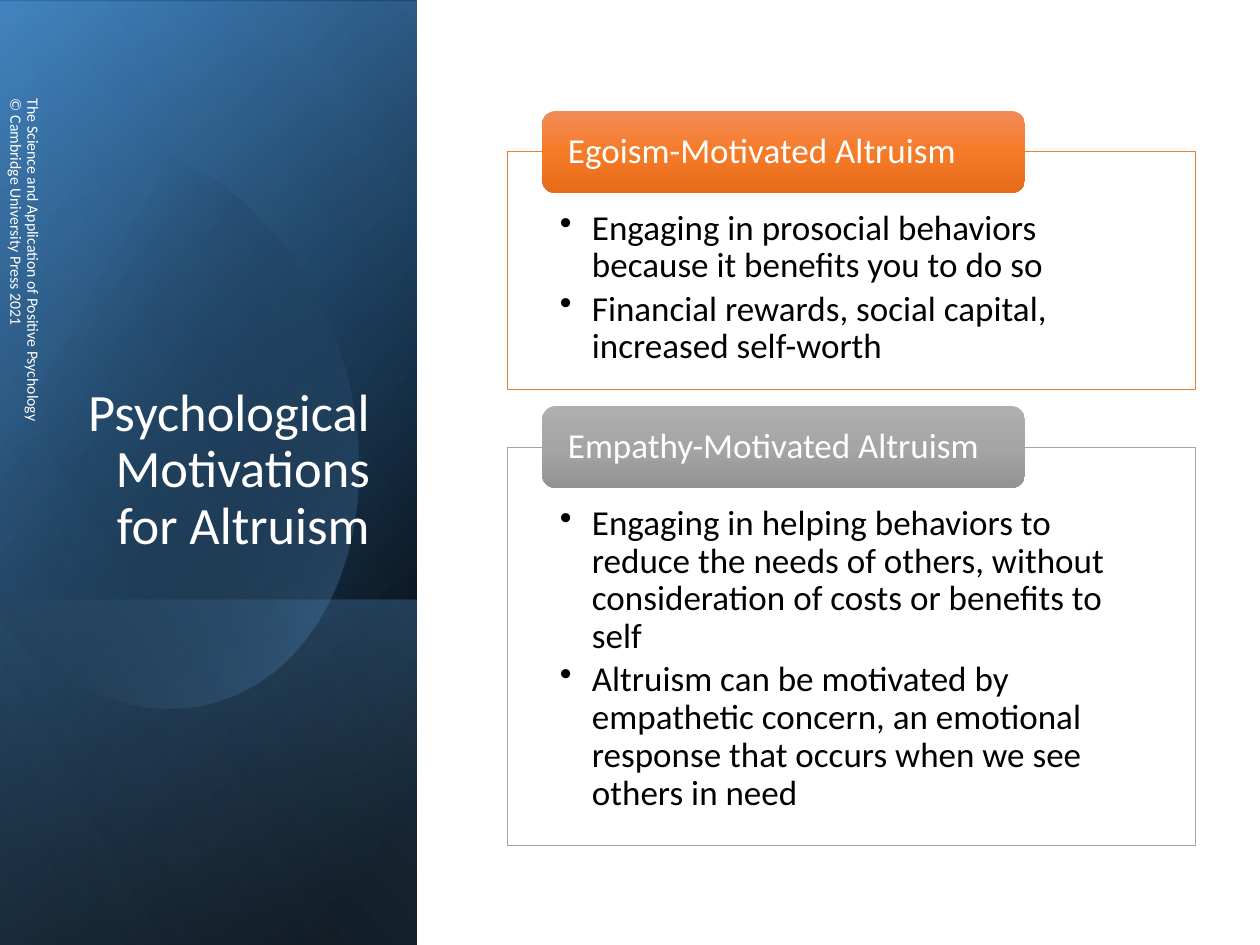
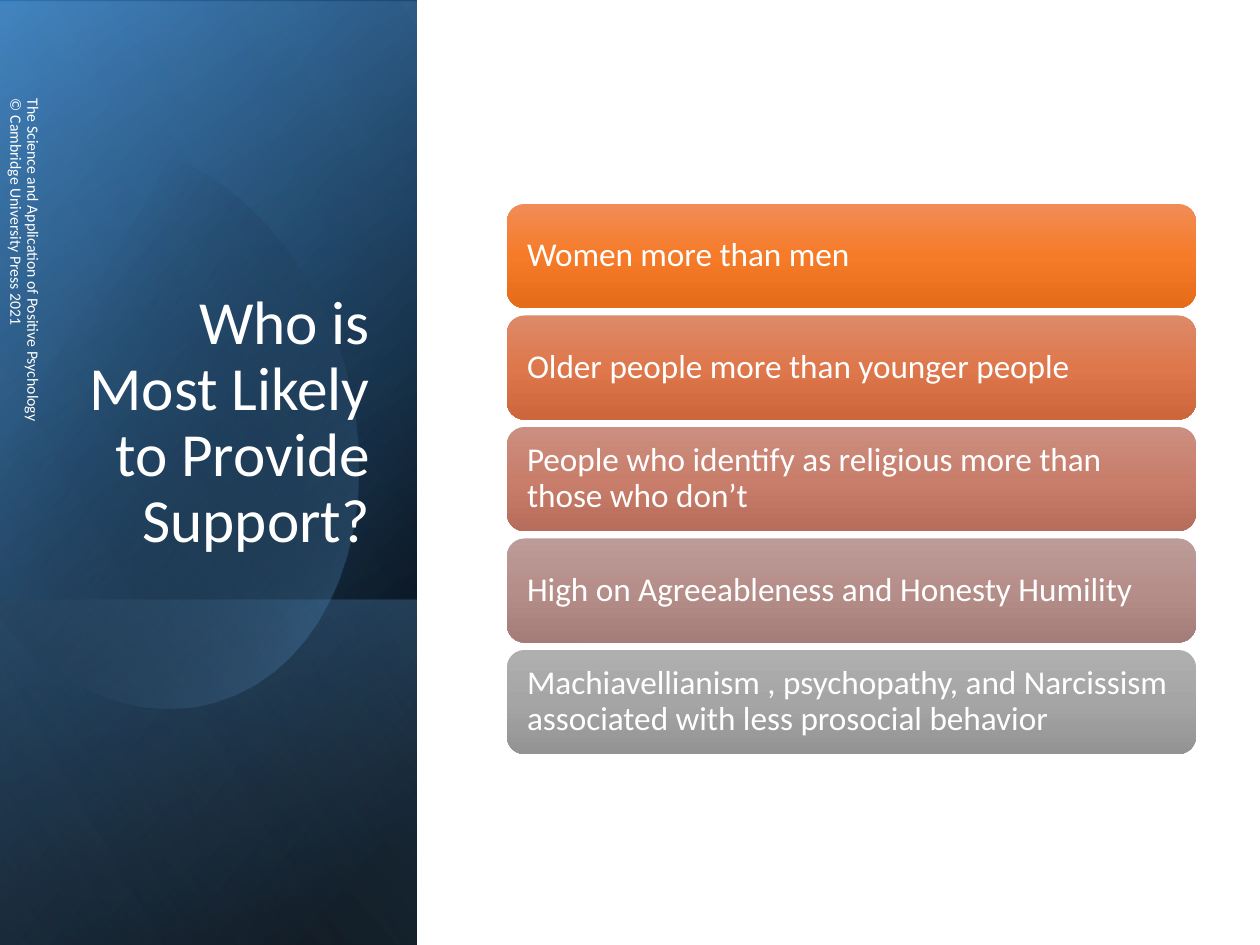
from lxml import etree
from pptx import Presentation
from pptx.dml.color import RGBColor
from pptx.enum.shapes import MSO_SHAPE
from pptx.enum.text import MSO_ANCHOR, MSO_AUTO_SIZE, PP_ALIGN
from pptx.oxml.ns import qn
from pptx.util import Pt

RECT, ROUNDED = MSO_SHAPE.RECTANGLE, MSO_SHAPE.ROUNDED_RECTANGLE
TOP, MIDDLE, BOTTOM = MSO_ANCHOR.TOP, MSO_ANCHOR.MIDDLE, MSO_ANCHOR.BOTTOM
LEFT, RIGHT = PP_ALIGN.LEFT, PP_ALIGN.RIGHT

SCALE = 914400 / 126
FONT = "Calibri"
BLACK = RGBColor(0x00, 0x00, 0x00)
WHITE = RGBColor(0xFF, 0xFF, 0xFF)
DEEP_BLUE = RGBColor(0x2E, 0x75, 0xB6)
BLUE = RGBColor(0x5B, 0x9B, 0xD5)
PALE_BLUE = RGBColor(0x9D, 0xC3, 0xE6)
ORANGE = RGBColor(0xED, 0x7D, 0x31)
GRAY = RGBColor(0xA5, 0xA5, 0xA5)


def shades(*hex_colors):
    return [(position, RGBColor.from_string(color), 100)
            for position, color in zip((0, 50, 100), hex_colors)]


ORANGE_SHADES = shades("F18C57", "F67B28", "E56C19")
GRAY_SHADES = shades("AFAFAF", "A5A5A5", "939393")

FOOTER = ["The Science and Application of Positive Psychology ",
          "© Cambridge University Press 2021"]

MOTIVES_TITLE = "Psychological Motivations for Altruism"
MOTIVES = [
    ("Egoism-Motivated Altruism", 152, 238, ORANGE, ORANGE_SHADES,
     ["Engaging in prosocial behaviors because it benefits you to do so",
      "Financial rewards, social capital, increased self-worth"]),
    ("Empathy-Motivated Altruism", 447, 399, GRAY, GRAY_SHADES,
     ["Engaging in helping behaviors to reduce the needs of others, without "
      "consideration of costs or benefits to self",
      "Altruism can be motivated by empathetic concern, an emotional response "
      "that occurs when we see others in need"]),
]

HELPERS_TITLE = "Who is Most Likely to Provide Support?"
HELPERS = [
    ("Women more than men", ORANGE_SHADES),
    ("Older people more than younger people", shades("DD8A6A", "DE774B", "CD673B")),
    ("People who identify as religious more than those who don’t",
     shades("CB8F81", "C97E6B", "B76D5B")),
    ("High on Agreeableness and Honesty Humility",
     shades("BC9C99", "B68E89", "A47C78")),
    ("Machiavellianism , psychopathy, and Narcissism associated with less "
     "prosocial behavior", GRAY_SHADES),
]

BAND_BACK = [
    ((0, 0, 417, 945), 50, [(8, BLACK, 100), (100, DEEP_BLUE, 100)]),
    ((0, 2, 417, 943), 30, [(0, BLACK, 0), (99, BLUE, 46)]),
    ((0, 600, 417, 345), 130, [(2, BLUE, 29), (100, BLACK, 30)]),
]
BAND_GLOSS = ((0, 0, 417, 945), 120, [(0, BLACK, 0), (99, PALE_BLUE, 11)])
OVAL_START = (121, 144)
OVAL_STEPS = [
    [(215, 154), (307, 242), (344, 365)],
    [(387, 519), (330, 669), (215, 702)],
    [(144, 723), (67, 693), (9, 630)],
    [(-4, 615)],
    [(-31, 209)],
    [(-19, 194)],
    [(3, 173), (28, 158), (57, 149)],
    [(78, 142), (100, 141), (121, 144)],
]
OVAL_STOPS = [(29, BLACK, 0), (100, BLUE, 43)]

COLUMN_X, COLUMN_WIDTH = 507, 689
TAB_X, TAB_WIDTH, TAB_HEIGHT = 542, 483, 82
BARS_TOP, BARS_BOTTOM, BAR_HEIGHT = 204, 754, 104


def px(length):
    return round(length * SCALE)


def emu_box(box):
    return [px(length) for length in box]


def turned(box):
    x, y, width, height = box
    return (x + (width - height) / 2, y + (height - width) / 2, height, width)


def add_plain(slide, kind, box):
    shape = slide.shapes.add_shape(kind, *emu_box(box))
    shape.shadow.inherit = False
    shape.line.fill.background()
    return shape


def set_gradient(shape, angle, stops):
    gradient = etree.Element(qn("a:gradFill"), rotWithShape="1")
    stop_list = etree.SubElement(gradient, qn("a:gsLst"))
    for position, color, opacity in stops:
        stop = etree.SubElement(stop_list, qn("a:gs"), pos=str(position * 1000))
        tint = etree.SubElement(stop, qn("a:srgbClr"), val=str(color))
        if opacity < 100:
            etree.SubElement(tint, qn("a:alpha"), val=str(opacity * 1000))
    etree.SubElement(gradient, qn("a:lin"), ang=str(angle * 60000), scaled="0")
    shape._element.spPr.insert(2, gradient)


def set_frame(shape, anchor, insets, wrap=True):
    frame = shape.text_frame
    frame.auto_size = MSO_AUTO_SIZE.NONE
    frame.word_wrap = wrap
    frame.vertical_anchor = anchor
    (frame.margin_left, frame.margin_top,
     frame.margin_right, frame.margin_bottom) = emu_box(insets)
    return frame


def write(paragraph, lines, size, color, align=LEFT, after=0, bullet=False):
    if bullet:
        properties = paragraph._p.get_or_add_pPr()
        properties.set("marL", str(px(32)))
        properties.set("indent", str(px(-32)))
        etree.SubElement(properties, qn("a:buChar"), char="•")
    paragraph.alignment = align
    paragraph.line_spacing = 0.9
    paragraph.space_before = Pt(0)
    paragraph.space_after = Pt(after)
    for index, line in enumerate(lines):
        if index:
            paragraph.add_line_break()
        run = paragraph.add_run()
        run.text = line
        run.font.name = FONT
        run.font.size = Pt(size)
        run.font.color.rgb = color


def add_band_layer(slide, box, angle, stops):
    layer = add_plain(slide, RECT, turned(box))
    layer.rotation = 90
    layer._element.spPr.xfrm.set("flipH", "1")
    set_gradient(layer, angle, stops)


def curve_points(start, first, second, end, steps=16):
    for step in range(1, steps + 1):
        t = step / steps
        weights = ((1 - t) ** 3, 3 * t * (1 - t) ** 2, 3 * t * t * (1 - t), t ** 3)
        corners = (start, first, second, end)
        yield tuple(sum(w * corner[axis] for w, corner in zip(weights, corners))
                    for axis in (0, 1))


def add_oval(slide):
    outline = [OVAL_START]
    for step in OVAL_STEPS:
        outline += curve_points(outline[-1], *step) if len(step) == 3 else step
    points = [emu_box(point) for point in outline]
    builder = slide.shapes.build_freeform(*points[0], scale=1.0)
    builder.add_line_segments(points[1:], close=True)
    oval = builder.convert_to_shape()
    oval.shadow.inherit = False
    oval.line.fill.background()
    set_gradient(oval, 30, OVAL_STOPS)


def add_slide(deck, heading, heading_size):
    slide = deck.slides.add_slide(deck.slide_layouts[5])
    for layer in BAND_BACK:
        add_band_layer(slide, *layer)
    add_oval(slide)
    add_band_layer(slide, *BAND_GLOSS)

    title = slide.shapes.title
    title.left, title.top, title.width, title.height = emu_box((60, 232, 323, 330))
    slide.shapes._spTree.append(title._element)
    frame = set_frame(title, BOTTOM, (13, 6, 13, 6))
    write(frame.paragraphs[0], [heading], heading_size, WHITE, RIGHT)

    footer = slide.shapes.add_textbox(*emu_box(turned((-1, 86, 50, 426))))
    footer.rotation = 90
    frame = set_frame(footer, MIDDLE, (13, 6, 13, 6), wrap=False)
    write(frame.paragraphs[0], FOOTER, 9, WHITE, after=6)
    return slide


def add_label(slide, box, label, stops, size, inset):
    shape = add_plain(slide, ROUNDED, box)
    set_gradient(shape, 90, stops)
    frame = set_frame(shape, MIDDLE, (inset, 0, inset, 0))
    write(frame.paragraphs[0], [label], size, WHITE)


def add_motive(slide, name, top, height, edge, stops, points):
    panel = add_plain(slide, RECT, (COLUMN_X, top, COLUMN_WIDTH, height))
    panel.fill.solid()
    panel.fill.fore_color.rgb = WHITE
    panel.line.color.rgb = edge
    panel.line.width = Pt(0.5)
    frame = set_frame(panel, TOP, (53, 58, 53, 20))
    for index, point in enumerate(points):
        paragraph = frame.add_paragraph() if index else frame.paragraphs[0]
        write(paragraph, [point], 20, BLACK, after=3, bullet=True)
    tab = (TAB_X, top - TAB_HEIGHT / 2, TAB_WIDTH, TAB_HEIGHT)
    add_label(slide, tab, name, stops, 20, 22)


def main():
    deck = Presentation()
    deck.slide_width, deck.slide_height = px(1260), px(945)

    motives_slide = add_slide(deck, MOTIVES_TITLE, 30)
    for motive in MOTIVES:
        add_motive(motives_slide, *motive)

    helpers_slide = add_slide(deck, HELPERS_TITLE, 35)
    pitch = (BARS_BOTTOM - BARS_TOP - BAR_HEIGHT) / (len(HELPERS) - 1)
    for index, (helper, stops) in enumerate(HELPERS):
        bar = (COLUMN_X, BARS_TOP + index * pitch, COLUMN_WIDTH, BAR_HEIGHT)
        add_label(helpers_slide, bar, helper, stops, 19, 15)

    deck.save("out.pptx")


if __name__ == "__main__":
    main()
